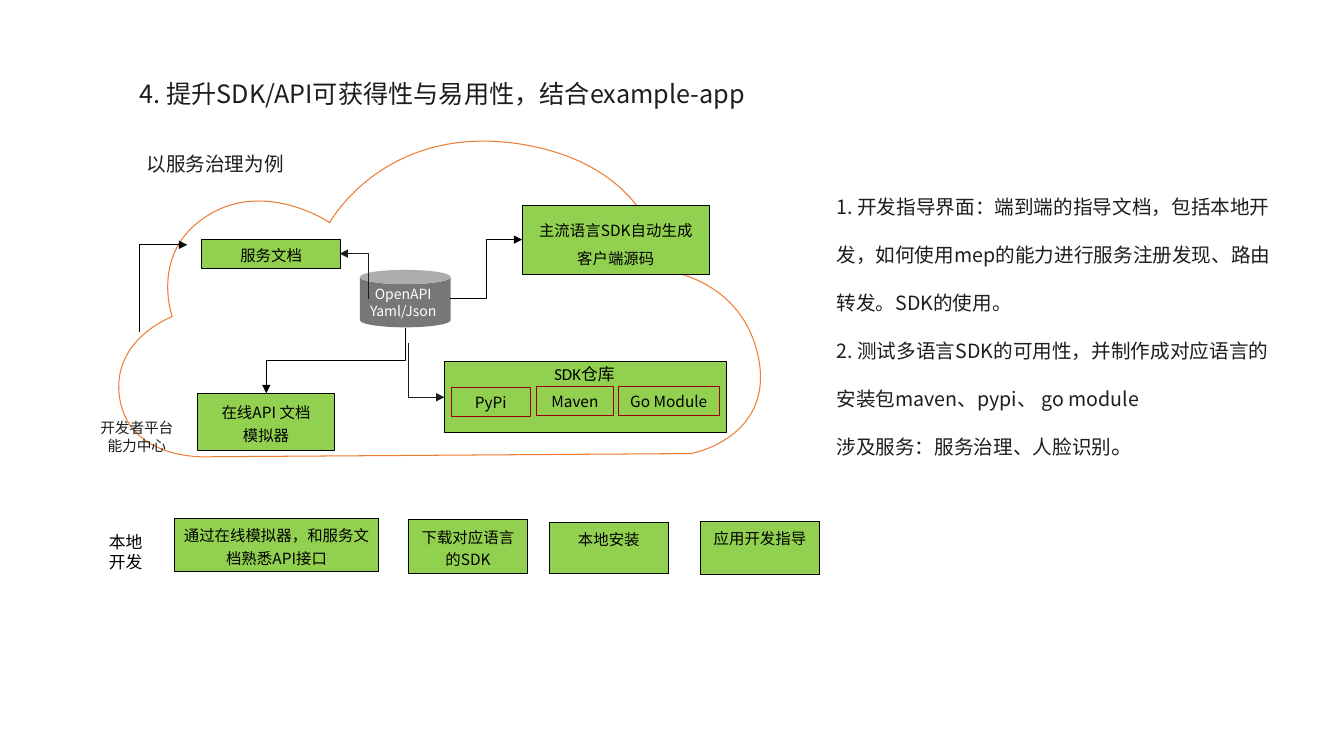
from dataclasses import dataclass
from typing import Optional

from lxml.etree import SubElement
from pptx import Presentation
from pptx.dml.color import RGBColor
from pptx.enum.shapes import MSO_CONNECTOR, MSO_SHAPE
from pptx.enum.text import MSO_ANCHOR, PP_ALIGN
from pptx.oxml.ns import qn
from pptx.util import Cm, Pt

COLORS = {"ink": "1D1D1A", "black": "000000", "white": "FFFFFF", "green": "92D050",
          "red": "990000", "gray": "777777", "orange": "EE7C31"}
FONT = "Noto Sans CJK SC"
Point = tuple[float, float]


@dataclass
class Label:
    """Plain text, placed in centimetres."""
    left: float
    top: float
    width: float
    height: float
    lines: list[str]
    size: float
    color: str = "ink"
    align: PP_ALIGN = PP_ALIGN.CENTER
    spacing: Optional[float | Pt] = None
    font: str = FONT


@dataclass
class Box:
    """Framed rectangle, placed in centimetres."""
    left: float
    top: float
    width: float
    height: float
    lines: list[str]
    fill: Optional[str] = "green"
    line: str = "black"
    spacing: Optional[float] = 1.2
    anchor: MSO_ANCHOR = MSO_ANCHOR.MIDDLE


@dataclass
class Arrow:
    """Elbow arrow; a single bend always leaves vertically."""
    start: Point
    end: Point
    bends: int = 1
    vertical: bool = True
    color: str = "black"
    weight: float = 0.75


def rgb(name: str) -> RGBColor:
    return RGBColor.from_string(COLORS[name])


def write(frame, lines: list[str], size: float, color: str, align: PP_ALIGN,
          spacing=None, font: str = FONT) -> None:
    frame.word_wrap = True
    for index, line in enumerate(lines):
        paragraph = frame.paragraphs[0] if index == 0 else frame.add_paragraph()
        paragraph.text = line
        paragraph.alignment = align
        paragraph.line_spacing = spacing
        paragraph.font.size = Pt(size)
        paragraph.font.color.rgb = rgb(color)
        paragraph.font.name = font
        defaults = paragraph._p.pPr.find(qn("a:defRPr"))
        SubElement(defaults, qn("a:ea")).set("typeface", font)


def add_label(shapes, label: Label):
    text = shapes.add_textbox(Cm(label.left), Cm(label.top), Cm(label.width), Cm(label.height))
    write(text.text_frame, label.lines, label.size, label.color, label.align,
          label.spacing, label.font)
    return text


def add_box(shapes, box: Box) -> None:
    shape = shapes.add_shape(MSO_SHAPE.RECTANGLE, Cm(box.left), Cm(box.top),
                             Cm(box.width), Cm(box.height))
    shape.shadow.inherit = False
    if box.fill:
        shape.fill.solid()
        shape.fill.fore_color.rgb = rgb(box.fill)
    else:
        shape.fill.background()
    shape.line.color.rgb = rgb(box.line)
    shape.line.width = Pt(0.75)
    frame = shape.text_frame
    frame.margin_left = frame.margin_right = Cm(0.23)
    frame.margin_top = frame.margin_bottom = Cm(0.1)
    frame.vertical_anchor = box.anchor
    write(frame, box.lines, 11, "black", PP_ALIGN.CENTER, box.spacing)


def add_arrow(shapes, arrow: Arrow) -> None:
    (x1, y1), (x2, y2) = arrow.start, arrow.end
    if arrow.vertical:  # lay the route out sideways, then turn it by 90 degrees
        mid_x, mid_y, dx, dy = (x1 + x2) / 2, (y1 + y2) / 2, x2 - x1, y2 - y1
        x1, y1 = mid_x - dy / 2, mid_y + dx / 2
        x2, y2 = mid_x + dy / 2, mid_y - dx / 2
    connector = shapes.add_connector(MSO_CONNECTOR.ELBOW, Cm(x1), Cm(y1), Cm(x2), Cm(y2))
    connector.line.color.rgb = rgb(arrow.color)
    connector.line.width = Pt(arrow.weight)
    properties = connector._element.spPr
    if arrow.vertical:
        properties.find(qn("a:xfrm")).set("rot", "5400000")
    properties.find(qn("a:prstGeom")).set("prst", f"bentConnector{arrow.bends + 1}")
    SubElement(properties.find(qn("a:ln")), qn("a:tailEnd")).set("type", "triangle")
    SubElement(properties, qn("a:effectLst"))


def add_cloud(shapes, start: Point, corner: Point, arcs: list[list[Point]]) -> None:
    outline = [corner] + [point for arc in arcs for point in arc]
    builder = shapes.build_freeform(Cm(start[0]), Cm(start[1]))
    builder.add_line_segments([(Cm(x), Cm(y)) for x, y in outline], close=True)
    cloud = builder.convert_to_shape()
    # After the straight base, every three points become one cubic curve
    segments = list(cloud._element.iter(qn("a:lnTo")))[1:]
    for first in range(0, len(segments), 3):
        head, *rest = segments[first:first + 3]
        head.tag = qn("a:cubicBezTo")
        for segment in rest:
            head.append(segment[0])
            segment.getparent().remove(segment)
    cloud.shadow.inherit = False
    cloud.fill.solid()
    cloud.fill.fore_color.rgb = rgb("white")
    cloud.line.color.rgb = rgb("orange")
    cloud.line.width = Pt(0.75)


CLOUD_ARCS = [
    [(17.42, 11.43), (19.46, 11.05), (19.13, 9.09)],
    [(18.75, 6.99), (16.71, 6.81), (16.71, 6.81)],
    [(16.71, 6.81), (16.61, 4.19), (13.11, 3.63)],
    [(9.68, 3.1), (8.31, 5.61), (8.31, 5.61)],
    [(8.31, 5.61), (6.55, 4.42), (5.05, 5.56)],
    [(3.81, 6.48), (4.34, 7.98), (4.34, 7.98)],
    [(4.34, 7.98), (2.77, 8.56), (3.02, 10.06)],
    [(3.3, 11.68), (5.36, 11.51), (5.36, 11.51)],
]
BOXES = [
    Box(13.16, 5.17, 4.72, 1.75, ["主流语言SDK自动生成", "客户端源码"], spacing=1.5),
    Box(4.98, 9.91, 3.45, 1.45, ["在线API 文档", "模拟器"]),
    # SDK repository and its package sources
    Box(11.2, 9.12, 7.11, 1.78, []),
    Box(13.51, 9.74, 1.96, 0.74, ["Maven"], None, "red", None),
    Box(15.58, 9.74, 2.55, 0.74, ["Go Module"], None, "red", None),
    Box(11.38, 9.76, 1.98, 0.74, ["PyPi"], None, "red", None),
    Box(5.08, 6.03, 3.51, 0.74, ["服务文档"]),
    # Local development steps
    Box(4.39, 13.06, 5.16, 1.35, ["通过在线模拟器，和服务文档熟悉API接口"]),
    Box(10.29, 13.1, 3.01, 1.35, ["下载对应语言的SDK"]),
    Box(13.84, 13.16, 3.01, 1.3, ["本地安装"], anchor=MSO_ANCHOR.TOP),
    Box(17.65, 13.13, 3.01, 1.35, ["应用开发指导"], anchor=MSO_ANCHOR.TOP),
]
INTRO = Label(3.44, 3.08, 10.03, 1.47, ["以服务治理为例"], 14, align=PP_ALIGN.LEFT,
              spacing=Pt(34.4))
LABELS = [
    Label(13.72, 9.04, 2.59, 0.81, ["SDK仓库"], 12, "black", PP_ALIGN.LEFT, font="Calibri"),
    Label(8.79, 7.07, 2.74, 1.14, ["OpenAPI", "Yaml/Json"], 10, "white"),
    Label(2.18, 10.43, 2.54, 1.24, ["开发者平台能力中心"], 10.5),
    Label(2.34, 13.28, 1.65, 1.37, ["本地开发"], 12, "black"),
]
GUIDE = Label(20.83, 4.16, 11.71, 7.52, [
    "1. 开发指导界面：端到端的指导文档，包括本地开发，如何使用mep的能力进行服务注册发现、路由转发。SDK的使用。",
    "2. 测试多语言SDK的可用性，并制作成对应语言的安装包maven、pypi、 go module",
    "涉及服务：服务治理、人脸识别",
], 14, align=PP_ALIGN.LEFT, spacing=Pt(34.4))
ARROWS = [
    Arrow((3.51, 8.38), (4.72, 6.17)),
    Arrow((11.35, 7.52), (13.16, 6.04), bends=2, vertical=False),
    Arrow((10.21, 8.26), (6.71, 9.91), bends=2),
    Arrow((9.28, 7.54), (8.56, 6.39), color="ink", weight=0.5),
    Arrow((10.29, 8.64), (11.2, 10.01), color="ink", weight=0.5),
]


def main() -> None:
    deck = Presentation()
    deck.slide_width, deck.slide_height = Cm(33.87), Cm(19.05)
    slide = deck.slides.add_slide(deck.slide_layouts[5])
    shapes = slide.shapes

    # Title
    title = shapes.title
    title.left, title.top, title.width, title.height = Cm(3.27), Cm(1.84), Cm(16.26), Cm(1.02)
    title.text_frame.vertical_anchor = MSO_ANCHOR.TOP
    write(title.text_frame, ["4. 提升SDK/API可获得性与易用性，结合example-app"], 18, "ink",
          PP_ALIGN.LEFT)

    # Guidance and introduction
    guide = add_label(shapes, GUIDE)
    full_stop = guide.text_frame.paragraphs[-1].add_run()
    full_stop.text = "。"
    full_stop.font.size = Pt(16)
    add_label(shapes, INTRO)

    # Cloud, boxes and API definition store
    add_cloud(shapes, (5.36, 11.51), (17.42, 11.43), CLOUD_ARCS)
    for box in BOXES:
        add_box(shapes, box)
    store = shapes.add_shape(MSO_SHAPE.CAN, Cm(9.07), Cm(6.8), Cm(2.29), Cm(1.45))
    store.shadow.inherit = False
    store.fill.solid()
    store.fill.fore_color.rgb = rgb("gray")
    store.line.fill.background()

    # Labels and arrows
    for label in LABELS:
        add_label(shapes, label)
    for arrow in ARROWS:
        add_arrow(shapes, arrow)

    deck.save("out.pptx")


if __name__ == "__main__":
    main()
